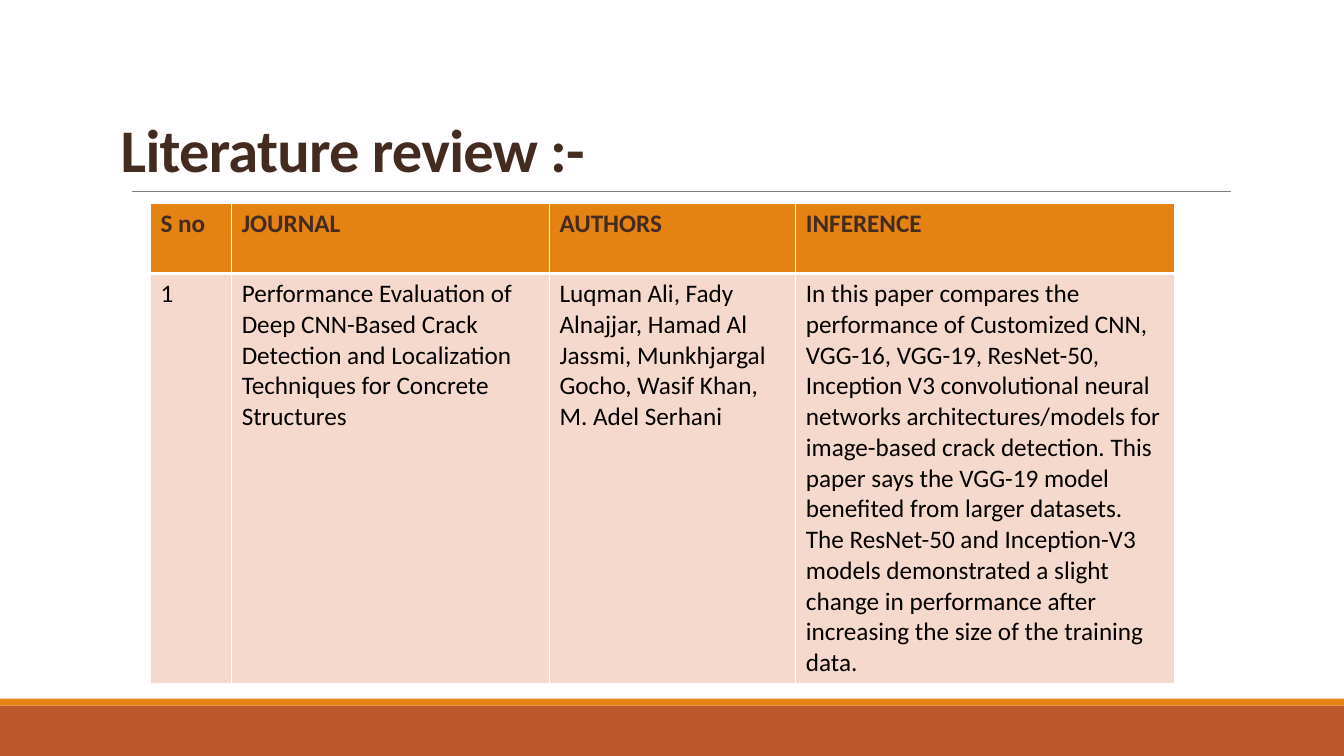
from lxml.etree import SubElement
from pptx import Presentation
from pptx.dml.color import RGBColor
from pptx.enum.shapes import MSO_CONNECTOR as Connector, MSO_SHAPE as Preset
from pptx.enum.text import MSO_ANCHOR as Anchor, MSO_AUTO_SIZE as AutoSize, PP_ALIGN as Align
from pptx.oxml.ns import qn
from pptx.util import Pt

COLORS = {
    "rust": "BD582C",
    "orange": "E48312",
    "rule": "808080",
    "brown": "432B20",
    "black": "000000",
    "blush": "F5D9CC",
    "white": "FFFFFF",
}
FONT = "Calibri"
SLIDE_WIDTH, SLIDE_HEIGHT = 960, 540
COLUMN_WIDTHS = [58, 227, 176, 270.5]
ROW_HEIGHTS = [50.4, 292.5]
REVIEW_ROWS = [
    ["S no", "JOURNAL", "AUTHORS", "INFERENCE"],
    [
        "1",
        "Performance Evaluation of Deep CNN-Based Crack Detection and "
        "Localization Techniques for Concrete Structures",
        "Luqman Ali, Fady Alnajjar, Hamad Al Jassmi, Munkhjargal Gocho, "
        "Wasif Khan, M. Adel Serhani",
        "In this paper compares the performance of Customized CNN, VGG-16, "
        "VGG-19, ResNet-50, Inception V3 convolutional neural networks "
        "architectures/models for image-based crack detection. This paper says "
        "the VGG-19 model benefited from larger datasets. The ResNet-50 and "
        "Inception-V3 models demonstrated a slight change in performance after "
        "increasing the size of the training data.",
    ],
]


def rgb(name):
    return RGBColor.from_string(COLORS[name])


def add_run(paragraph, text, size, color, bold):
    run = paragraph.add_run()
    run.text = text
    run.font.name = FONT
    run.font.size = Pt(size)
    run.font.bold = bold
    run.font.color.rgb = rgb(color)
    return run


def add_band(slide, top, height, color):
    band = slide.shapes.add_shape(Preset.RECTANGLE, 0, Pt(top), Pt(SLIDE_WIDTH), Pt(height))
    band.shadow.inherit = False
    band.fill.solid()
    band.fill.fore_color.rgb = rgb(color)
    band.line.fill.background()


def add_rule(slide, left, right, y):
    rule = slide.shapes.add_connector(Connector.STRAIGHT, Pt(left), Pt(y), Pt(right), Pt(y))
    rule.line.color.rgb = rgb("rule")
    rule.line.width = Pt(0.5)
    SubElement(rule._element.spPr, qn("a:effectLst"))


def set_title(slide, text):
    title = slide.shapes.title
    title.left, title.top, title.width, title.height = Pt(79), Pt(54), Pt(353.5), Pt(81.5)
    frame = title.text_frame
    frame.word_wrap = True
    frame.auto_size = AutoSize.NONE
    frame.vertical_anchor = Anchor.BOTTOM
    heading = frame.paragraphs[0]
    heading.alignment = Align.LEFT
    heading.line_spacing = 0.85
    run = add_run(heading, text, 43.2, "brown", True)
    run.font._element.set("spc", "-50")


def set_borders(cell, widths):
    properties = cell._tc.get_or_add_tcPr()
    for side, width in widths.items():
        border = SubElement(properties, qn(f"a:ln{side}"), w=str(Pt(width)))
        fill = SubElement(border, qn("a:solidFill"))
        SubElement(fill, qn("a:srgbClr"), val=COLORS["white"])


def fill_cell(cell, text, is_header):
    # Borders precede the fill in the cell properties
    top, bottom = (1, 3) if is_header else (3, 1)
    set_borders(cell, {"L": 1, "R": 1, "T": top, "B": bottom})
    cell.fill.solid()
    cell.fill.fore_color.rgb = rgb("orange" if is_header else "blush")
    color = "brown" if is_header else "black"
    add_run(cell.text_frame.paragraphs[0], text, 18, color, is_header)


def add_review_table(slide, left, top):
    review = slide.shapes.add_table(
        len(ROW_HEIGHTS), len(COLUMN_WIDTHS), Pt(left), Pt(top),
        Pt(sum(COLUMN_WIDTHS)), Pt(sum(ROW_HEIGHTS)),
    ).table
    for column, width in zip(review.columns, COLUMN_WIDTHS):
        column.width = Pt(width)
    for index, (row, height) in enumerate(zip(review.rows, ROW_HEIGHTS)):
        row.height = Pt(height)
        for cell, text in zip(row.cells, REVIEW_ROWS[index]):
            fill_cell(cell, text, is_header=index == 0)


def main():
    deck = Presentation()
    deck.slide_width, deck.slide_height = Pt(SLIDE_WIDTH), Pt(SLIDE_HEIGHT)
    slide = deck.slides.add_slide(deck.slide_layouts[5])

    # Footer bands and title rule
    add_band(slide, 504, 36, "rust")
    add_band(slide, 499, 5, "orange")
    add_rule(slide, 94.3, 879, 136.8)

    # Title and review table
    set_title(slide, "Literature review :-")
    add_review_table(slide, 107.5, 145)

    deck.save("out.pptx")


if __name__ == "__main__":
    main()
